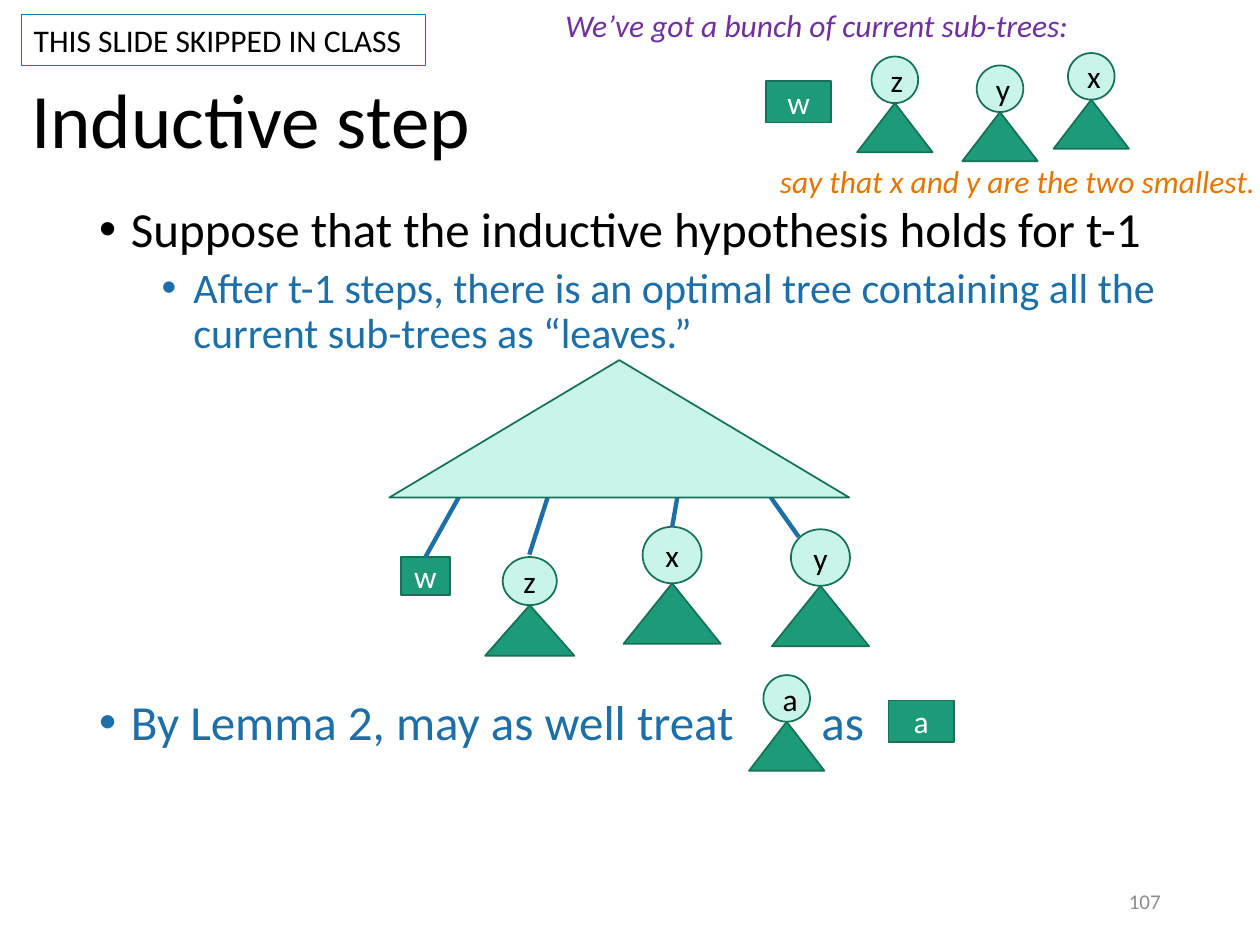
from dataclasses import dataclass

from lxml import etree
from pptx import Presentation
from pptx.dml.color import RGBColor
from pptx.enum.shapes import MSO_CONNECTOR, MSO_SHAPE
from pptx.enum.text import MSO_ANCHOR, PP_ALIGN
from pptx.oxml.ns import qn
from pptx.shapes.autoshape import Shape
from pptx.slide import Slide
from pptx.util import Cm, Pt

OVAL, CONE, RECT = MSO_SHAPE.OVAL, MSO_SHAPE.ISOSCELES_TRIANGLE, MSO_SHAPE.RECTANGLE
STRAIGHT = MSO_CONNECTOR.STRAIGHT
LEFT, CENTER, RIGHT = PP_ALIGN.LEFT, PP_ALIGN.CENTER, PP_ALIGN.RIGHT
TOP, MIDDLE = MSO_ANCHOR.TOP, MSO_ANCHOR.MIDDLE

BLACK = RGBColor(0x00, 0x00, 0x00)
WHITE = RGBColor(0xFF, 0xFF, 0xFF)
GRAY = RGBColor(0x8C, 0x8C, 0x8C)
BLUE = RGBColor(0x1D, 0x6F, 0xA9)
PURPLE = RGBColor(0x70, 0x30, 0xA0)
ORANGE = RGBColor(0xE6, 0x75, 0x00)
MINT = RGBColor(0xC8, 0xF5, 0xE8)
GREEN = RGBColor(0x1D, 0x9A, 0x78)
PINE = RGBColor(0x15, 0x72, 0x59)
FONT = "Calibri"


@dataclass(frozen=True)
class Box:
    x: float
    y: float
    w: float
    h: float

    def lengths(self) -> tuple[Cm, Cm, Cm, Cm]:
        return Cm(self.x), Cm(self.y), Cm(self.w), Cm(self.h)


@dataclass(frozen=True)
class Size:
    head_w: float
    head_h: float
    base_w: float
    base_h: float


@dataclass(frozen=True)
class Tree:
    name: str
    mid: float
    top: float
    size: Size


@dataclass(frozen=True)
class Leaf:
    name: str
    box: Box


@dataclass(frozen=True)
class Label:
    text: str
    box: Box
    size: float = 18
    color: RGBColor = BLACK
    slant: bool = False
    align: PP_ALIGN = LEFT
    anchor: MSO_ANCHOR = TOP


@dataclass(frozen=True)
class Point:
    text: str
    size: float
    color: RGBColor
    left: float = 0.64
    gap: float = 0


SMALL = Size(0.94, 0.94, 1.52, 0.99)
MEDIUM = Size(1.09, 0.97, 1.8, 1.02)
LARGE = Size(1.19, 1.14, 1.96, 1.22)
HANG = 0.64
RIM = 9.93

TREES = (
    Tree("x", 22, 1.07, SMALL),
    Tree("y", 20.16, 1.32, SMALL),
    Tree("z", 18.04, 1.14, SMALL),
    Tree("a", 15.86, 13.61, SMALL),
    Tree("y", 16.54, 10.67, LARGE),
)
LEAVES = (
    Leaf("w", Box(15.44, 1.63, 1.32, 0.84)),
    Leaf("a", Box(17.91, 14.12, 1.32, 0.84)),
)
LABELS = (
    Label("Inductive step", Box(0.38, 1.22, 21.89, 2.54), 44, anchor=MIDDLE),
    Label("We’ve got a bunch of current sub-trees:", Box(11.15, 0, 11.35, 1.02),
          color=PURPLE, slant=True),
    Label("say that x and y are the two smallest.", Box(15.47, 3.15, 12.24, 1.02),
          color=ORANGE, slant=True),
    Label("as", Box(16.31, 13.95, 1.6, 1.3), 28, BLUE),
    Label("107", Box(17.93, 17.65, 5.72, 1.02), 12, GRAY, align=RIGHT, anchor=MIDDLE),
)
CLAIM = (
    Point("Suppose that the inductive hypothesis holds for t-1", 28, BLACK),
    Point("After t-1 steps, there is an optimal tree containing all the current "
          "sub-trees as “leaves.”", 24, BLUE, 1.9, 5),
)
LEMMA = (Point("By Lemma 2, may as well treat", 28, BLUE),)


def style(para, size: float, color: RGBColor, slant: bool = False) -> None:
    for run in para.runs:
        run.font.name, run.font.size = FONT, Pt(size)
        run.font.italic = slant
        run.font.color.rgb = color


def draw_label(slide: Slide, label: Label) -> Shape:
    shape = slide.shapes.add_textbox(*label.box.lengths())
    frame = shape.text_frame
    frame.word_wrap, frame.vertical_anchor = True, label.anchor
    frame.text = label.text
    para = frame.paragraphs[0]
    para.alignment, para.line_spacing = label.align, 0.9 if label.size > 18 else 1.0
    style(para, label.size, label.color, label.slant)
    return shape


def draw_points(slide: Slide, box: Box, points: tuple[Point, ...]) -> None:
    frame = slide.shapes.add_textbox(*box.lengths()).text_frame
    frame.word_wrap = True
    for i, point in enumerate(points):
        para = frame.add_paragraph() if i else frame.paragraphs[0]
        para.text = point.text
        para.line_spacing, para.space_before = 0.9, Pt(point.gap)
        props = para._p.get_or_add_pPr()
        props.set("marL", str(Cm(point.left)))
        props.set("indent", str(-Cm(HANG)))
        etree.SubElement(props, qn("a:buFont")).set("typeface", "Arial")
        etree.SubElement(props, qn("a:buChar")).set("char", "•")
        style(para, point.size, point.color)


def draw_shape(slide: Slide, kind: MSO_SHAPE, box: Box, fill: RGBColor,
               text: str = "", color: RGBColor = BLACK) -> Shape:
    shape = slide.shapes.add_shape(kind, *box.lengths())
    shape.shadow.inherit = False
    shape.fill.solid()
    shape.fill.fore_color.rgb = fill
    shape.line.color.rgb, shape.line.width = PINE, Pt(1)
    if text:
        frame = shape.text_frame
        frame.text, frame.vertical_anchor = text, MIDDLE
        frame.paragraphs[0].alignment = CENTER
        style(frame.paragraphs[0], 18, color)
    return shape


def draw_tree(slide: Slide, tree: Tree) -> Shape:
    size = tree.size
    head = Box(tree.mid - size.head_w / 2, tree.top, size.head_w, size.head_h)
    base = Box(tree.mid - size.base_w / 2, tree.top + size.head_h, size.base_w, size.base_h)
    shape = draw_shape(slide, OVAL, head, MINT, tree.name)
    draw_shape(slide, CONE, base, GREEN)
    return shape


def draw_leaf(slide: Slide, leaf: Leaf) -> Shape:
    return draw_shape(slide, RECT, leaf.box, GREEN, leaf.name, WHITE)


def draw_edge(slide: Slide, start: float, x: float, y: float,
              node: Shape | None = None) -> None:
    edge = slide.shapes.add_connector(STRAIGHT, Cm(start), Cm(RIM), Cm(x), Cm(y))
    edge.line.color.rgb, edge.line.width = BLUE, Pt(2.5)
    etree.SubElement(edge._element.spPr, qn("a:effectLst"))
    if node is not None:
        edge.end_connect(node, 0)


def main() -> None:
    """Build the slide on the inductive step and save it."""
    deck = Presentation()
    deck.slide_width, deck.slide_height = Cm(25.4), Cm(19.05)
    slide = deck.slides.add_slide(deck.slide_layouts[6])
    for label in LABELS:
        draw_label(slide, label)
    draw_points(slide, Box(1.75, 4.01, 21.89, 3.2), CLAIM)
    draw_points(slide, Box(1.75, 13.95, 13.4, 1.3), LEMMA)
    for tree in TREES:
        draw_tree(slide, tree)
    for leaf in LEAVES:
        draw_leaf(slide, leaf)
    x_node = draw_tree(slide, Tree("x", 13.55, 10.62, LARGE))
    w_node = draw_leaf(slide, Leaf("w", Box(8.08, 11.23, 0.99, 0.76)))
    draw_edge(slide, 13.67, 13.55, 10.62, x_node)
    draw_edge(slide, 15.47, 16.1, 10.82)
    draw_edge(slide, 11.07, 10.67, 11.18)
    draw_edge(slide, 9.3, 8.58, 11.23, w_node)
    draw_tree(slide, Tree("z", 10.68, 11.23, MEDIUM))
    draw_shape(slide, CONE, Box(7.85, 7.26, 9.27, 2.77), MINT)
    tag = draw_label(slide, Label("THIS SLIDE SKIPPED IN CLASS", Box(0.43, 0.3, 8.15, 1.02)))
    tag.line.color.rgb, tag.line.width = BLUE, Pt(0.75)
    deck.save("out.pptx")


if __name__ == "__main__":
    main()
